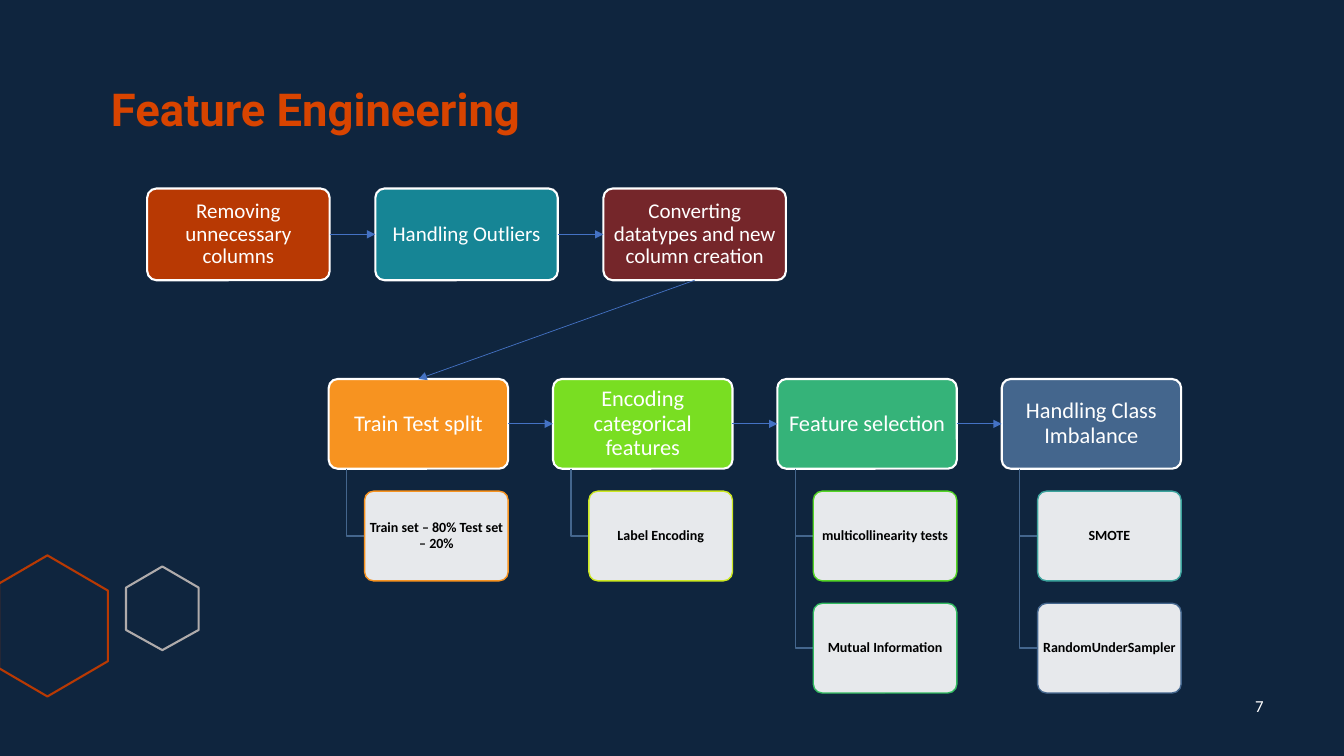
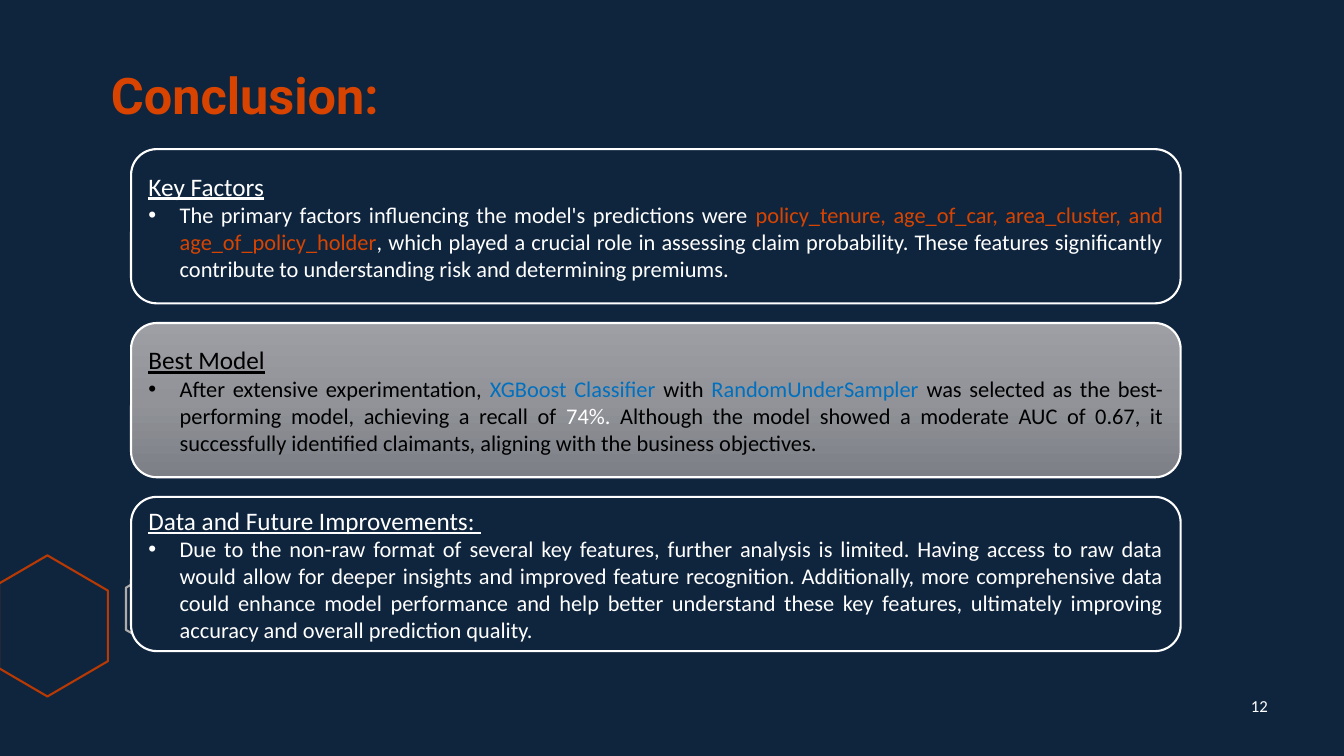
from copy import deepcopy

from lxml import etree
from pptx import Presentation
from pptx.dml.color import RGBColor
from pptx.enum.shapes import MSO_CONNECTOR, MSO_SHAPE
from pptx.enum.text import MSO_ANCHOR, MSO_AUTO_SIZE, PP_ALIGN
from pptx.oxml.ns import qn
from pptx.util import Inches, Pt

STRAIGHT = MSO_CONNECTOR.STRAIGHT
ROUNDED = MSO_SHAPE.ROUNDED_RECTANGLE
LEFT, CENTER, JUSTIFY = PP_ALIGN.LEFT, PP_ALIGN.CENTER, PP_ALIGN.JUSTIFY
MIDDLE, BOTTOM = MSO_ANCHOR.MIDDLE, MSO_ANCHOR.BOTTOM
SIDE_TOP, SIDE_LEFT, SIDE_BOTTOM, SIDE_RIGHT = 0, 1, 2, 3

NAVY, WHITE, BLACK = "0F253E", "FFFFFF", "000000"
ORANGE, RUST, SILVER = "D84400", "B83903", "AFABAB"
STEEL, ARROW_BLUE, LINK_BLUE = "44668D", "4472C4", "0070C0"
PITCH = 1.25

color = RGBColor.from_string


def write(paragraph, text, size=16, ink=WHITE, font="Calibri", bold=False,
          underline=False, align=CENTER, spacing=1.0):
    paragraph.alignment = align
    paragraph.line_spacing = spacing
    run = paragraph.add_run()
    run.text = text
    run.font.size = Pt(size)
    run.font.name = font
    run.font.bold = bold
    run.font.underline = underline
    run.font.color.rgb = color(ink)


def add_box(slide, left, top, width, height, fill, outline=WHITE, weight=1.5, inset=0.03):
    box = slide.shapes.add_shape(
        ROUNDED, Inches(left), Inches(top), Inches(width), Inches(height))
    box.shadow.inherit = False
    box.fill.solid()
    box.fill.fore_color.rgb = color(fill)
    box.line.color.rgb = color(outline)
    box.line.width = Pt(weight)
    frame = box.text_frame
    frame.word_wrap = True
    frame.vertical_anchor = MIDDLE
    frame.margin_left = frame.margin_right = Inches(inset)
    frame.margin_top = frame.margin_bottom = Inches(inset / 2)
    return box


deck = Presentation()
deck.slide_width, deck.slide_height = Inches(13.33), Inches(7.5)
layout = deck.slide_layouts[5]
layout.background.fill.solid()
layout.background.fill.fore_color.rgb = color(NAVY)

pages = []
for heading, size, top, width, height, number in [
    ("Feature Engineering", 32.4, 0.8, 6.8, 0.6, "7"),
    ("Conclusion:", 36, 0.58, 4.8, 0.71, "12"),
]:
    page = deck.slides.add_slide(layout)
    title = page.shapes.title
    title.left, title.top = Inches(1), Inches(top)
    title.width, title.height = Inches(width), Inches(height)
    title.text_frame.auto_size = MSO_AUTO_SIZE.NONE
    title.text_frame.vertical_anchor = BOTTOM
    write(title.text_frame.paragraphs[0], heading, size=size, ink=ORANGE,
          font="Roboto", bold=True, align=LEFT, spacing=0.9)
    page_number = page.shapes.add_textbox(
        Inches(12.24), Inches(6.8), Inches(0.5), Inches(0.4)).text_frame
    page_number.word_wrap = True
    page_number.vertical_anchor = MIDDLE
    write(page_number.paragraphs[0], number, size=12)
    pages.append(page)
engineering, conclusion = pages

hexagons = [
    (RUST, [(0.47, 5.51), (1.07, 5.86), (1.07, 6.56), (0.47, 6.91), (-0.01, 6.63), (-0.01, 5.79)]),
    (SILVER, [(1.61, 5.62), (1.97, 5.83), (1.97, 6.25), (1.61, 6.45), (1.25, 6.25), (1.25, 5.83)]),
]
for order, (outline, corners) in enumerate(hexagons):
    points = [(Inches(x), Inches(y)) for x, y in corners]
    builder = engineering.shapes.build_freeform(*points[0])
    builder.add_line_segments(points[1:], close=True)
    hexagon = builder.convert_to_shape()
    hexagon.shadow.inherit = False
    hexagon.fill.background()
    hexagon.line.color.rgb = color(outline)
    hexagon.line.width = Pt(1.5)
    hexagon.element.nvSpPr.cNvPr.set("id", str(100 + order))
    layout.shapes.element.append(hexagon.element)

cleaning_steps = [
    ("Removing unnecessary columns", RUST),
    ("Handling Outliers", "168595"),
    ("Converting datatypes and new column creation", "75262A"),
]
modelling_steps = [
    ("Train Test split", "F79320", [("Train set – 80% Test set – 20%", "F79320")]),
    ("Encoding categorical features", "79DE22", [("Label Encoding", "CDE821")]),
    ("Feature selection", "35B379",
     [("multicollinearity tests", "54D526"), ("Mutual Information", "32BB60")]),
    ("Handling Class Imbalance", STEEL,
     [("SMOTE", "3CA39D"), ("RandomUnderSampler", STEEL)]),
]

cleaning_width, cleaning_height = 1.81, 0.91
cleaning_boxes = []
for column, (label, fill) in enumerate(cleaning_steps):
    step = add_box(engineering, 1.46 + column * PITCH * cleaning_width, 1.87,
                   cleaning_width, cleaning_height, fill)
    step.adjustments[0] = 0.1
    write(step.text_frame.paragraphs[0], label, size=15, spacing=0.9)
    cleaning_boxes.append(step)

step_width, step_height, step_top = 1.78, 0.89, 3.76
modelling_boxes = []
for column, (label, fill, details) in enumerate(modelling_steps):
    left = 3.26 + column * PITCH * step_width
    step = add_box(engineering, left, step_top, step_width, step_height, fill)
    step.adjustments[0] = 0.1
    write(step.text_frame.paragraphs[0], label, spacing=0.9)
    modelling_boxes.append(step)

    trunk, branch = left + 0.1 * step_width, left + 0.2 * step_width
    for row, (detail, outline) in enumerate(details, start=1):
        top = step_top + row * PITCH * step_height
        middle = Inches(top + step_height / 2)
        builder = engineering.shapes.build_freeform(
            Inches(trunk), Inches(step_top + step_height))
        builder.add_line_segments(
            [(Inches(trunk), middle), (Inches(branch), middle)], close=False)
        elbow = builder.convert_to_shape()
        elbow.shadow.inherit = False
        elbow.fill.background()
        elbow.line.color.rgb = color(STEEL)
        elbow.line.width = Pt(1)

        card = add_box(engineering, branch, top, 0.8 * step_width, step_height,
                       WHITE, outline, weight=1, inset=0.02)
        card.adjustments[0] = 0.1
        tint = card.element.spPr.find(qn("a:solidFill")).find(qn("a:srgbClr"))
        etree.SubElement(tint, qn("a:alpha"), val="90000")
        write(card.text_frame.paragraphs[0], detail, size=10, ink=BLACK, bold=True, spacing=0.9)

flow = cleaning_boxes + modelling_boxes
for source, target in zip(flow, flow[1:]):
    same_row = source.top == target.top
    arrow = engineering.shapes.add_connector(STRAIGHT, 0, 0, 0, 0)
    arrow.begin_connect(source, SIDE_RIGHT if same_row else SIDE_BOTTOM)
    arrow.end_connect(target, SIDE_LEFT if same_row else SIDE_TOP)
    arrow.line.color.rgb = color(ARROW_BLUE)
    arrow.line.width = Pt(0.5)
    properties = arrow.element.spPr
    etree.SubElement(properties.find(qn("a:ln")), qn("a:tailEnd"), type="triangle")
    etree.SubElement(properties, qn("a:effectLst"))

findings = [
    ("Key Factors", WHITE, [
        ("The primary factors influencing the model's predictions were ", WHITE),
        ("policy_tenure, age_of_car, area_cluster, and age_of_policy_holder", ORANGE),
        (", which played a crucial role in assessing claim probability. These features "
         "significantly contribute to understanding risk and determining premiums.", WHITE),
    ]),
    ("Best Model", BLACK, [
        ("After extensive experimentation, ", BLACK),
        ("XGBoost Classifier ", LINK_BLUE),
        ("with ", BLACK),
        ("RandomUnderSampler", LINK_BLUE),
        (" was selected as the best-performing model, achieving a recall of ", BLACK),
        ("74%. ", WHITE),
        ("Although the model showed a moderate AUC of 0.67, it successfully identified "
         "claimants, aligning with the business objectives.", BLACK),
    ]),
    ("Data and Future Improvements: ", WHITE, [
        ("Due to the non-raw format of several key features, further analysis is limited. "
         "Having access to raw data would allow for deeper insights and improved feature "
         "recognition. Additionally, more comprehensive data could enhance model performance "
         "and help better understand these key features, ultimately improving accuracy and "
         "overall prediction quality.", WHITE),
    ]),
]
panels = []
for row, (heading, ink, passages) in enumerate(findings):
    panel = add_box(conclusion, 1.3, 1.48 + row * 1.725, 10.41, 1.53, NAVY, inset=0.1)
    write(panel.text_frame.paragraphs[0], heading, size=18, ink=ink, underline=True, align=JUSTIFY)
    bullet = panel.text_frame.add_paragraph()
    for passage, passage_ink in passages:
        write(bullet, passage, ink=passage_ink, align=JUSTIFY)
    indent = bullet._p.get_or_add_pPr()
    indent.set("marL", str(Inches(0.31)))
    indent.set("indent", str(Inches(-0.31)))
    etree.SubElement(indent, qn("a:buFont"), typeface="Arial")
    etree.SubElement(indent, qn("a:buChar"), char="•")
    panels.append(panel)

best_model_fill = panels[1].fill
best_model_fill.gradient()
best_model_fill.gradient_angle = 270
stop_list = panels[1].element.spPr.find(qn("a:gradFill")).find(qn("a:gsLst"))
stop_list.insert(1, deepcopy(stop_list[0]))
shades = [(0, "9E9FA4"), (0.5, "919398"), (1, "7C7F86")]
for stop, (position, shade) in zip(best_model_fill.gradient_stops, shades):
    stop.position = position
    stop.color.rgb = color(shade)

deck.save("out.pptx")
